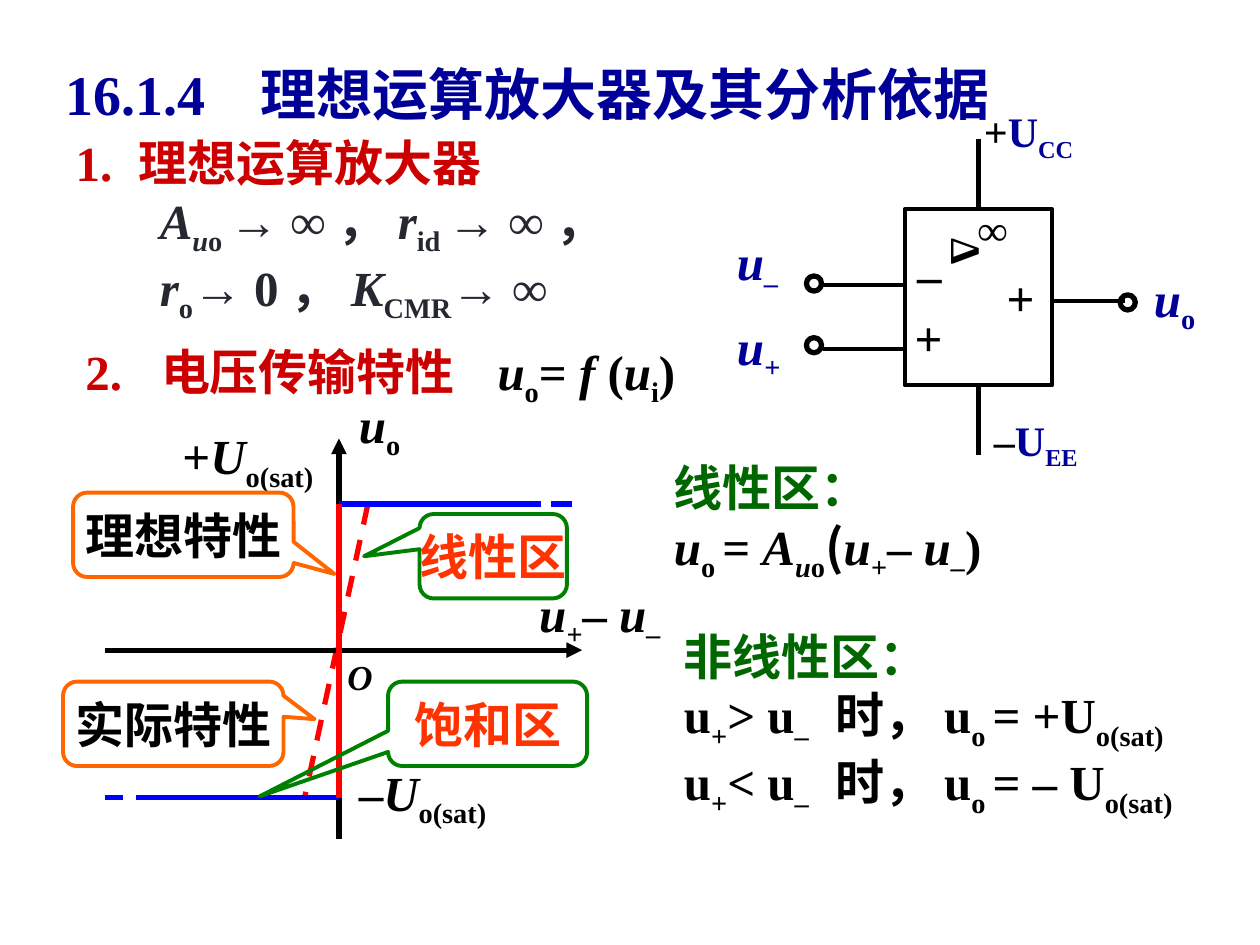
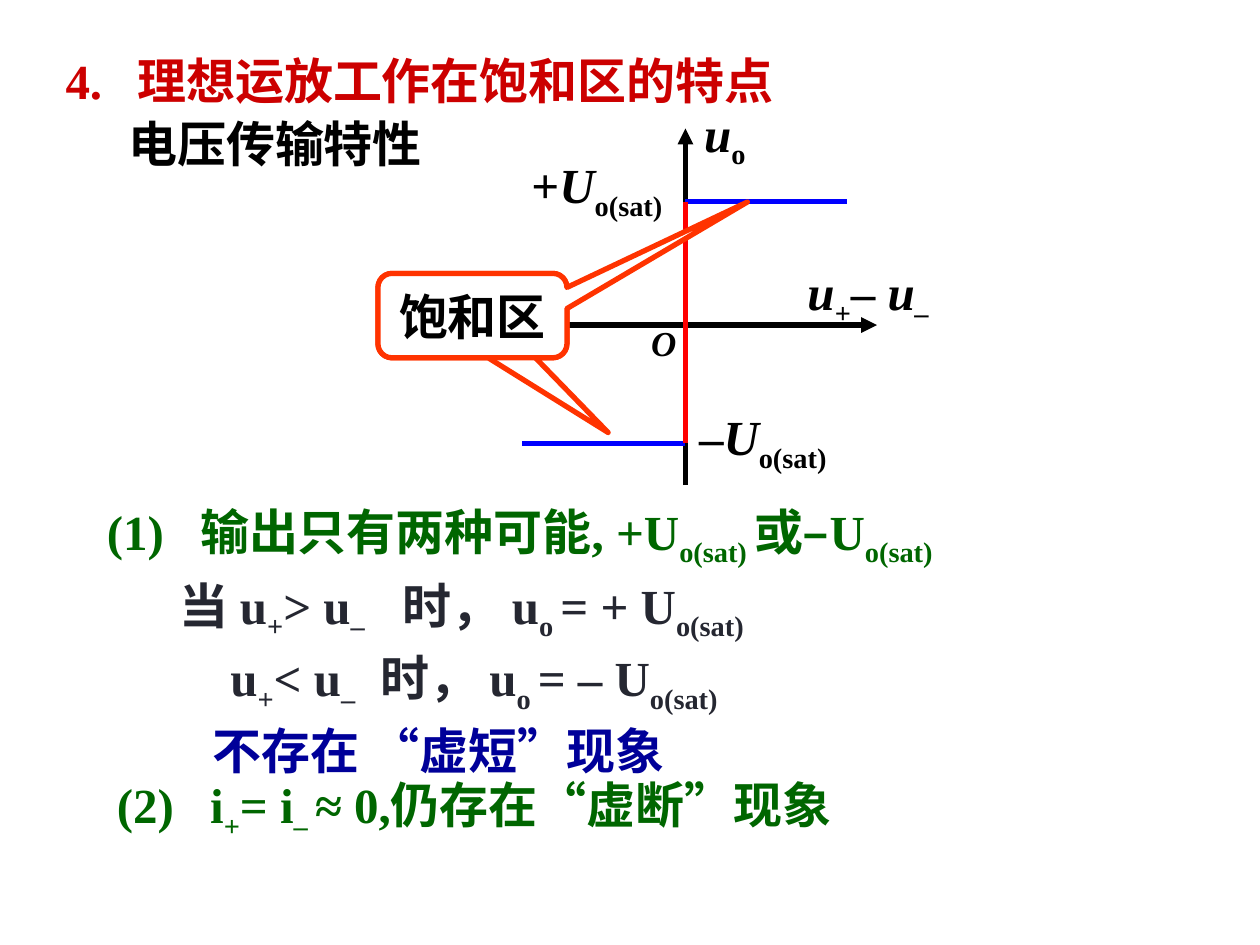
from lxml.etree import SubElement
from pptx import Presentation
from pptx.dml.color import RGBColor
from pptx.enum.dml import MSO_LINE_DASH_STYLE as Dash
from pptx.enum.shapes import MSO_CONNECTOR as Conn, MSO_SHAPE as Shape
from pptx.enum.text import MSO_ANCHOR as Anchor, MSO_AUTO_SIZE as AutoSize, PP_ALIGN as Align
from pptx.oxml.ns import qn
from pptx.util import Inches, Pt

LATIN, CJK = "Times New Roman", "Noto Sans CJK SC"
BLACK = RGBColor(0x00, 0x00, 0x00)
WHITE = RGBColor(0xFF, 0xFF, 0xFF)
NAVY = RGBColor(0x00, 0x00, 0x99)
CRIMSON = RGBColor(0xCC, 0x00, 0x00)
INK = RGBColor(0x25, 0x27, 0x31)
GREEN = RGBColor(0x00, 0x66, 0x00)
LEAF = RGBColor(0x00, 0x80, 0x00)
BLUE = RGBColor(0x00, 0x00, 0xFF)
RED = RGBColor(0xFF, 0x00, 0x00)
ORANGE = RGBColor(0xFF, 0x66, 0x00)
VERMILION = RGBColor(0xFF, 0x33, 0x00)

# Markup: /italic/ {subscript} [tab stop in inches]
IDEAL_TITLE = "16.1.4[1.55]理想运算放大器及其分析依据"
IDEAL_SUBTITLE = "1.[0.57]理想运算放大器"
IDEAL_TEXTS = [
    (1.17, 1.46, 4.5, 28, INK, [
        "/A{u}/{o }→ ∞ ， /r/{id }→ ∞ ，",
        "/r/{o}→ 0 ， /K/{CMR}→ ∞"]),
    (0.58, 2.66, 5.25, 28, CRIMSON, [
        [("2.[0.6]电压传输特性", CRIMSON),
         ("[3.27]/u/{o}= /f /(/u/{i})", BLACK)]]),
    (5.25, 3.58, 3.67, 28, BLACK, [
        [("线性区：", GREEN)],
        [("/u/{o }= /A{u}/{o}", BLACK), ("(", BLACK, CJK), ("/u{+}/– /u{–}/)", BLACK)]]),
    (5.33, 4.92, 4.5, 28, BLACK, [
        [("非线性区：", GREEN)],
        "u{+}> u{–}[1.2]时， u{o }= +U{o(sat)}",
        "u{+}< u{–}[1.2]时， u{o }= – U{o(sat)}"]),
]
OPAMP_TEXTS = [
    (9.06, 2.08, 0.94, 28, NAVY, ["/u/{o}"]),
    (5.75, 2.46, 0.98, 28, NAVY, ["/u{+}/"]),
    (5.75, 1.79, 0.88, 28, NAVY, ["/u{–}/"]),
    (7.16, 2.39, 0.51, 28, BLACK, ["+"]),
    (7.89, 2.07, 0.91, 28, BLACK, ["+"]),
    (7.18, 1.89, 0.75, 28, BLACK, ["–"]),
    (7.66, 1.57, 1.19, 24, BLACK, ["∞"]),
    (7.71, 0.79, 1.49, 24, NAVY, [[("+", BLACK), ("U{CC}", NAVY)]]),
    (7.79, 3.24, 1.49, 24, NAVY, [[("–", BLACK), ("U{EE}", NAVY)]]),
]
OPAMP_BOX = (7.18, 1.66, 1.17, 1.4)
OPAMP_LEADS = [((6.53, 2.77), (7.18, 2.77)), ((8.35, 2.39), (8.93, 2.39)),
               ((6.53, 2.26), (7.18, 2.26))]
TERMINALS = [(6.4, 2.19), (6.4, 2.68), (8.89, 2.34)]
TERMINAL_SIZE = 0.12

IDEAL_CURVE = dict(x=2.69, y=5.16, x_ends=(0.83, 4.62), y_ends=(6.66, 3.48),
                   high=4, low=6.33, left=1.08, right=4.29,
                   labels=[(2.75, 3.08), (4.18, 4.58), (1.35, 3.33), (2.75, 6), (2.66, 5.15)])
ACTUAL_LINES = [((2.44, 6.33), (0.83, 6.33), BLUE), ((4.54, 4), (2.94, 4), BLUE),
                ((2.92, 4), (2.42, 6.32), RED)]
IDEAL_CALLOUTS = [
    ("线性区", (3.33, 4.08, 1.17, 0.67), (-0.876, 0), LEAF, VERMILION),
    ("理想特性", (0.58, 3.91, 1.75, 0.67), (0.685, 0.464), ORANGE, BLACK),
    ("实际特性", (0.5, 5.41, 1.75, 0.67), (0.641, -0.055), ORANGE, BLACK),
    ("饱和区", (3.08, 5.41, 1.58, 0.67), (-1.145, 0.859), LEAF, VERMILION),
]

SATURATED_TITLE = "4.[0.57]理想运放工作在饱和区的特点"
SATURATED_TEXTS = [
    (0.75, 3.93, 8.67, 28, GREEN, ["(1)[0.74]输出只有两种可能, +U{o(sat) }或–U{o(sat)}"]),
    (0.83, 6.1, 6.75, 28, GREEN, ["(2)[0.74]i{+}= i{– }≈ 0,仍存在“虚断”现象"]),
    (0.92, 0.85, 3.5, 28, BLACK, ["电压传输特性"]),
    (1.33, 4.52, 6.67, 28, INK, [
        "当 u{+}> u{–}[1.77]时， u{o }= + U{o(sat)}",
        "[0.4]u{+}< u{–}[1.59]时， u{o }= – U{o(sat)}",
        [("[0.26]不存在 “虚短”现象", NAVY)]], 3),
]
SATURATED_CURVE = dict(x=5.44, y=2.58, x_ends=(3.98, 6.96), y_ends=(3.85, 1.02),
                       high=1.6, low=3.52, left=4.14, right=6.72,
                       labels=[(5.49, 0.77), (6.31, 2.03), (4.12, 1.18), (5.45, 3.18), (5.07, 2.5)])
SATURATED_BOX = (3, 2.17, 1.5, 0.67)
SATURATED_POINTS = [("", (0.718, 1.385)), ("饱和区", (1.455, -1.346))]

CURVE_LABELS = [("/u/{o}", 0.94, 28), ("/u{+}/– /u{–}/", 1.8, 28), ("+/U/{o(sat)}", 1.5, 28),
                ("–/U/{o(sat)}", 1.5, 28), ("/O/", 0.57, 20)]


def split_markup(text):
    part, italic, sub = "", False, False
    stops, parts = [], []
    chars = iter(text)
    for ch in chars:
        if ch == "[":
            stop = ""
            while (digit := next(chars)) != "]":
                stop += digit
            stops.append(float(stop))
            part += "\t"
        elif ch in "/{}":
            if part:
                parts.append((part, italic, sub))
            part = ""
            if ch == "/":
                italic = not italic
            else:
                sub = ch == "{"
        else:
            part += ch
    if part:
        parts.append((part, italic, sub))
    return parts, stops


def add_run(p, text, size, color, italic, sub, font):
    r = p.add_run()
    r.text = text
    f = r.font
    f.name, f.size, f.bold, f.italic = font, Pt(size), True, italic
    f.color.rgb = color
    rpr = f._element
    if sub:
        rpr.set("baseline", "-25000")
    SubElement(rpr, qn("a:ea")).set("typeface", CJK)


def write(sp, paras, size, color, align=Align.LEFT, anchor=Anchor.TOP, wrap=True, gap=0):
    tf = sp.text_frame
    tf.word_wrap, tf.auto_size, tf.vertical_anchor = wrap, AutoSize.NONE, anchor
    for i, para in enumerate(paras):
        p = tf.add_paragraph() if i else tf.paragraphs[0]
        segments = [(para, color)] if isinstance(para, str) else para
        split = [(split_markup(seg[0]), seg[1], seg[2] if len(seg) > 2 else LATIN)
                 for seg in segments]
        stops = [stop for (_, found), _, _ in split for stop in found]
        if stops:
            tabs = SubElement(p._p.get_or_add_pPr(), qn("a:tabLst"))
            for stop in stops:
                tab = SubElement(tabs, qn("a:tab"))
                tab.set("pos", str(Inches(stop)))
                tab.set("algn", "l")
        p.alignment = align
        p.space_before = Pt(gap if i else 0)
        for (parts, _), tint, font in split:
            for part, italic, sub in parts:
                add_run(p, part, size, tint, italic, sub, font)


def place(sp, left, top, width, height):
    sp.left, sp.top, sp.width, sp.height = map(Inches, (left, top, width, height))


def add_text(s, left, top, width, size, color, paras, gap=0):
    height = 0.1 + len(paras) * size / 60
    sp = s.shapes.add_textbox(*map(Inches, (left, top, width, height)))
    write(sp, paras, size, color, gap=gap)
    return sp


def add_outline(s, kind, box, color, weight, fill=None):
    sp = s.shapes.add_shape(kind, *map(Inches, box))
    sp.shadow.inherit = False
    if fill is None:
        sp.fill.background()
    else:
        sp.fill.solid()
        sp.fill.fore_color.rgb = fill
    sp.line.color.rgb, sp.line.width = color, Pt(weight)
    return sp


def add_callout(s, text, box, tip, color, text_color, weight=2.25, fill=None):
    sp = add_outline(s, Shape.ROUNDED_RECTANGULAR_CALLOUT, box, color, weight, fill)
    for i, value in enumerate((*tip, 0.167)):
        sp.adjustments[i] = value
    if text:
        write(sp, [text], 28, text_color, Align.CENTER, Anchor.MIDDLE, False)


def add_line(s, start, end, color=BLACK, weight=3, dash=None, arrow=False):
    c = s.shapes.add_connector(Conn.STRAIGHT, *map(Inches, (*start, *end)))
    c.line.color.rgb, c.line.width = color, Pt(weight)
    if dash:
        c.line.dash_style = dash
    if arrow:
        SubElement(c.line._get_or_add_ln(), qn("a:tailEnd")).set("type", "triangle")
    SubElement(c._element.spPr, qn("a:effectLst"))
    return c


def add_curve(s, x, y, x_ends, y_ends, high, low, left, right, labels):
    add_line(s, (x_ends[0], y), (x_ends[1], y), arrow=True)
    add_line(s, (x, y_ends[0]), (x, y_ends[1]), arrow=True)
    add_line(s, (x, low), (left, low), BLUE)
    add_line(s, (right, high), (x, high), BLUE)
    add_line(s, (x, high), (x, low), RED)
    for (text, width, size), (lx, ly) in zip(CURVE_LABELS, labels):
        add_text(s, lx, ly, width, size, BLACK, [text])


def add_opamp(s):
    left, top, width, height = OPAMP_BOX
    body = add_outline(s, Shape.RECTANGLE, OPAMP_BOX, BLACK, 2.25)
    for start, end in OPAMP_LEADS:
        add_line(s, start, end, weight=2.25)
    mid, bottom = left + width / 2, top + height
    add_line(s, (mid, 1.1), (mid, top)).end_connect(body, 0)
    add_line(s, (mid, bottom), (mid, 3.61)).begin_connect(body, 2)
    for x, y in TERMINALS:
        add_outline(s, Shape.OVAL, (x, y, TERMINAL_SIZE, TERMINAL_SIZE), BLACK, 3)
    for row in OPAMP_TEXTS:
        add_text(s, *row)
    delta = s.shapes.add_textbox(*map(Inches, (7.46, 1.74, 0.43, 0.51)))
    delta.rotation = 90
    write(delta, ["Δ"], 24, BLACK, Align.CENTER, wrap=False)


def build_ideal(prs):
    s = prs.slides.add_slide(prs.slide_layouts[0])
    place(s.shapes.title, 0.42, 0.42, 8.17, 0.75)
    write(s.shapes.title, [IDEAL_TITLE], 32, NAVY)
    place(s.placeholders[1], 0.5, 1, 5.5, 0.58)
    write(s.placeholders[1], [IDEAL_SUBTITLE], 28, CRIMSON)
    for row in IDEAL_TEXTS:
        add_text(s, *row)
    for start, end, color in ACTUAL_LINES:
        add_line(s, start, end, color, dash=Dash.DASH)
    add_curve(s, **IDEAL_CURVE)
    add_opamp(s)
    for row in IDEAL_CALLOUTS:
        add_callout(s, *row)


def build_saturated(prs):
    s = prs.slides.add_slide(prs.slide_layouts[5])
    place(s.shapes.title, 0.42, 0.35, 7.33, 0.57)
    write(s.shapes.title, [SATURATED_TITLE], 28, CRIMSON)
    for row in SATURATED_TEXTS:
        add_text(s, *row)
    add_curve(s, **SATURATED_CURVE)
    for text, tip in SATURATED_POINTS:
        add_callout(s, text, SATURATED_BOX, tip, VERMILION, BLACK, 3, WHITE)


def main():
    prs = Presentation()
    prs.slide_width, prs.slide_height = Inches(10), Inches(7.5)
    build_ideal(prs)
    build_saturated(prs)
    prs.save("out.pptx")


if __name__ == "__main__":
    main()
